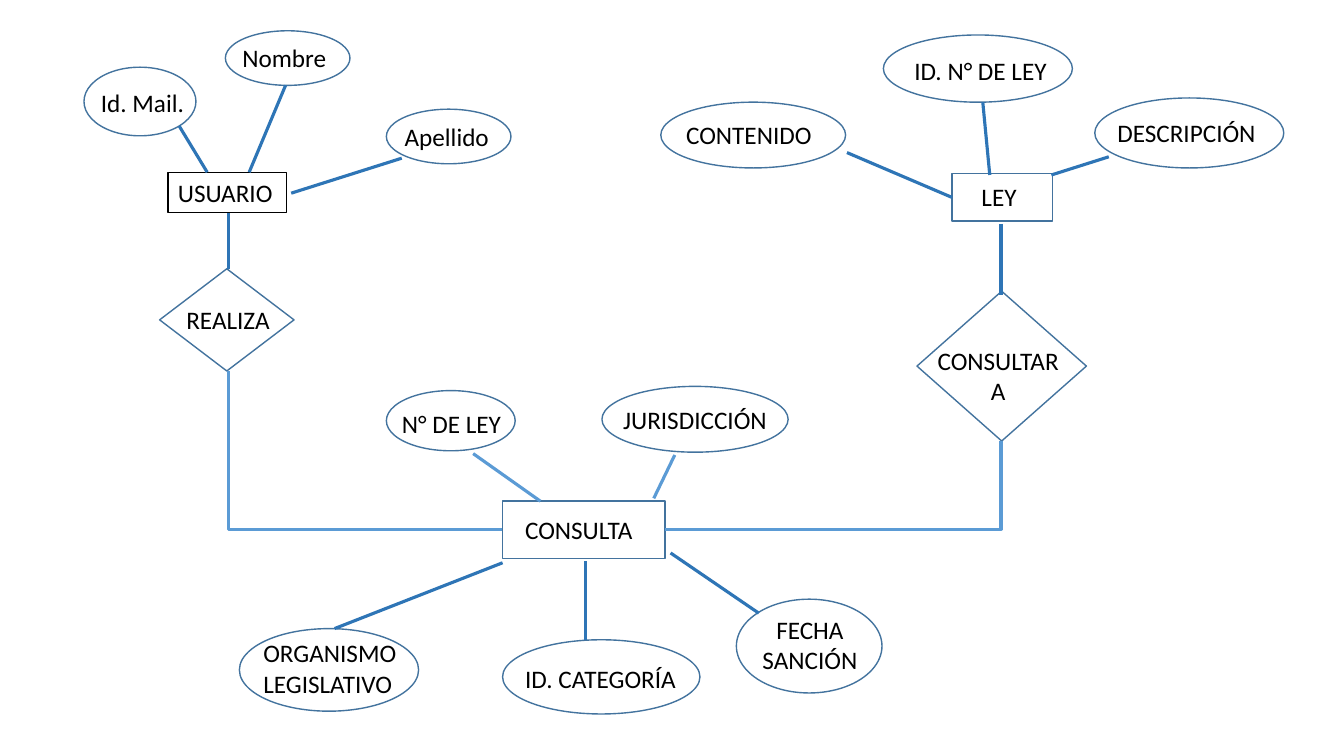
from lxml.etree import SubElement
from pptx import Presentation
from pptx.dml.color import RGBColor
from pptx.enum.shapes import MSO_CONNECTOR, MSO_SHAPE
from pptx.enum.text import MSO_ANCHOR, PP_ALIGN
from pptx.oxml.ns import qn
from pptx.util import Pt

OUTLINE, DARK_LINK, LIGHT_LINK, BLACK = "43739E", "2E75B6", "5B9BD5", "000000"
ATTRIBUTE, ENTITY, RELATION = MSO_SHAPE.OVAL, MSO_SHAPE.RECTANGLE, MSO_SHAPE.DIAMOND


def color(hex_code):
    """Turn a hex string into a colour."""
    return RGBColor.from_string(hex_code)


def write(frame, text, size=18, font="Calibri", ink=BLACK, align=PP_ALIGN.LEFT):
    """Fill a text frame, one paragraph for each line of text."""
    frame.word_wrap = True
    frame.vertical_anchor = MSO_ANCHOR.TOP
    frame.text = text
    for paragraph in frame.paragraphs:
        paragraph.alignment = align
        paragraph.font.size = Pt(size)
        paragraph.font.name = font
        paragraph.font.color.rgb = color(ink)


def outline(shapes, kind, left, top, width, height, ink=OUTLINE, weight=1):
    """Add an unfilled preset shape."""
    shape = shapes.add_shape(kind, Pt(left), Pt(top), Pt(width), Pt(height))
    shape.shadow.inherit = False
    shape.fill.background()
    shape.line.color.rgb = color(ink)
    shape.line.width = Pt(weight)
    return shape


def node(slide, origin, kind, box, text, label, **text_format):
    """Group an outline with its label (dx, dy, width inside the outline)."""
    left, top = origin[0] + box[0], origin[1] + box[1]
    group = slide.shapes.add_group_shape()
    outline(group.shapes, kind, left, top, *box[2:])
    dx, dy, width = label
    height = 29 + 22 * text.count("\n")
    caption = group.shapes.add_textbox(Pt(left + dx), Pt(top + dy), Pt(width), Pt(height))
    write(caption.text_frame, text, **text_format)


def link(slide, origin, start, end, ink=DARK_LINK, bent=False):
    """Join two points; a bent link runs sideways first, then up."""
    x, y = origin
    kind = MSO_CONNECTOR.ELBOW if bent else MSO_CONNECTOR.STRAIGHT
    connector = slide.shapes.add_connector(
        kind, Pt(x + start[0]), Pt(y + start[1]), Pt(x + end[0]), Pt(y + end[1]))
    connector.line.color.rgb = color(ink)
    connector.line.width = Pt(2.25)
    properties = connector._element.spPr
    SubElement(properties, qn("a:effectLst"))
    if bent:
        properties.find(qn("a:prstGeom")).set("prst", "bentConnector2")


def user_region(slide, origin):
    """Place the user entity, its attributes and its relation."""
    node(slide, origin, ATTRIBUTE, (0, 27, 80, 49), "Id. Mail.", (5, 11, 75))
    node(slide, origin, ATTRIBUTE, (101, 1, 89, 39), "Nombre", (5, 5, 89))
    node(slide, origin, ATTRIBUTE, (216, 57, 89, 39), "Apellido", (6, 5, 89))
    node(slide, origin, RELATION, (54, 171, 96, 73), "REALIZA", (12, 22, 89))
    user = outline(slide.shapes, ENTITY, origin[0] + 60, origin[1] + 102, 85, 29,
                   ink=BLACK, weight=0.75)
    write(user.text_frame, "USUARIO")
    for start, end in (((144, 40), (118, 102)), ((68, 69), (88, 102)),
                       ((227, 92), (148, 117)), ((103, 131), (103, 171))):
        link(slide, origin, start, end)


def law_region(slide, origin):
    """Place the law entity, its attributes and its relation."""
    node(slide, origin, ATTRIBUTE, (1, 48, 132, 47), "CONTENIDO", (11, 9, 105))
    node(slide, origin, ATTRIBUTE, (160, 0, 135, 48), "ID. N° DE LEY", (15, 11, 111))
    node(slide, origin, ATTRIBUTE, (311, 45, 135, 50), "DESCRIPCIÓN", (9, 10, 115))
    node(slide, origin, ENTITY, (209, 99, 72, 34), "LEY", (14, 2, 55))
    node(slide, origin, RELATION, (184, 183, 121, 107), "CONSULTAR\nA", (5, 35, 106),
         align=PP_ALIGN.CENTER)
    for start, end in (((231, 48), (236, 100)), ((134, 84), (209, 116)),
                       ((321, 87), (280, 100)), ((244, 135), (244, 186))):
        link(slide, origin, start, end)


def query_region(slide, origin):
    """Place the query entity, its attributes and the links to both relations."""
    node(slide, origin, ATTRIBUTE, (106, 4, 92, 43), "N° DE LEY", (4, 9, 89))
    node(slide, origin, ATTRIBUTE, (260, 1, 133, 47), "JURISDICCIÓN", (8, 9, 125))
    node(slide, origin, ENTITY, (189, 83, 116, 41), "CONSULTA", (9, 6, 92))
    node(slide, origin, ATTRIBUTE, (1, 174, 128, 59), "ORGANISMO\nLEGISLATIVO", (10, 3, 115))
    node(slide, origin, ATTRIBUTE, (189, 182, 141, 53), "ID. CATEGORÍA", (9, 13, 124))
    node(slide, origin, ATTRIBUTE, (356, 153, 104, 67), "FECHA\nSANCIÓN", (9, 7, 87),
         align=PP_ALIGN.CENTER)
    for start, end in (((189, 127), (69, 174)), ((248, 126), (248, 182)),
                       ((309, 120), (372, 163))):
        link(slide, origin, start, end)
    for start, end in (((216, 83), (168, 49)), ((297, 81), (312, 50))):
        link(slide, origin, start, end, ink=LIGHT_LINK)
    for start, end in (((189, 103), (-7, -10)), ((305, 103), (545, 40))):
        link(slide, origin, start, end, ink=LIGHT_LINK, bent=True)


deck = Presentation()
deck.slide_width, deck.slide_height = Pt(960), Pt(540)
diagram = deck.slides.add_slide(deck.slide_layouts[6])
user_region(diagram, (60, 21))
law_region(diagram, (471, 25))
query_region(diagram, (170, 275))
deck.save("out.pptx")
